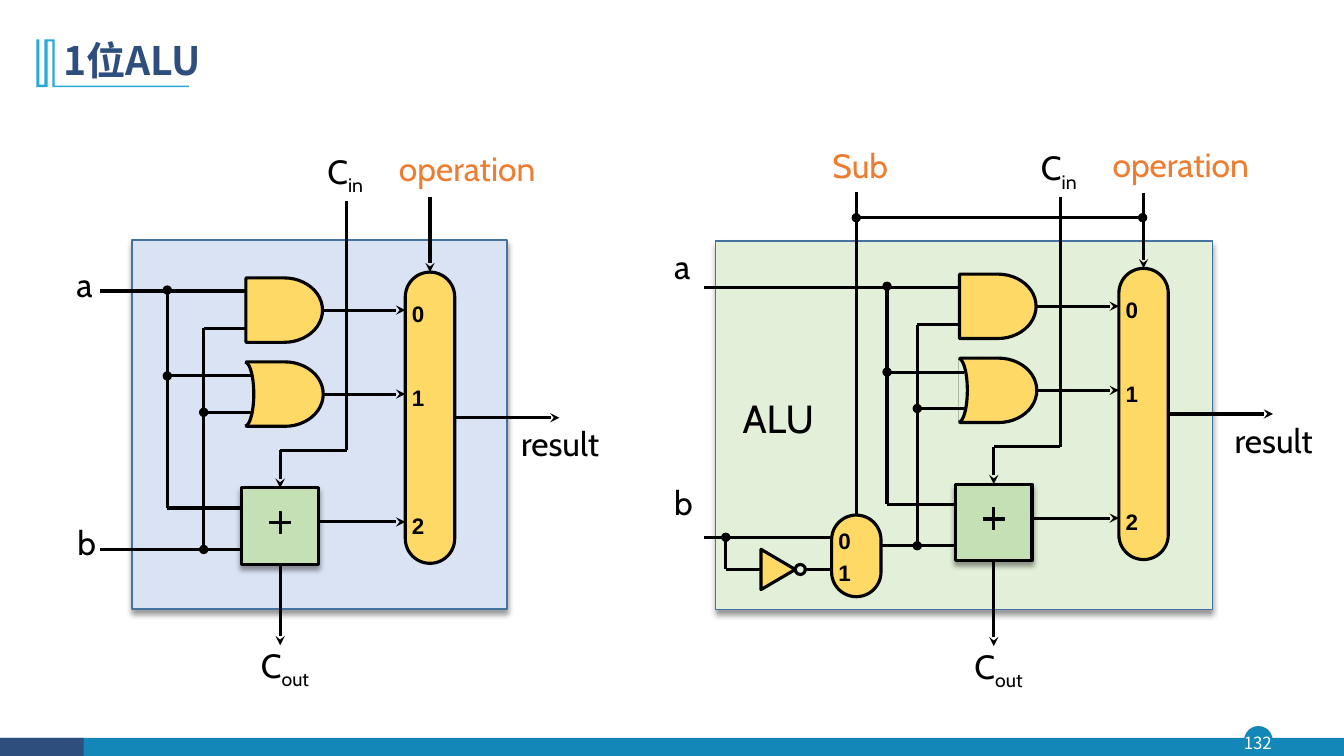
from math import cos, pi, sin

from lxml.etree import SubElement
from pptx import Presentation
from pptx.dml.color import RGBColor
from pptx.enum.shapes import MSO_CONNECTOR, MSO_SHAPE
from pptx.enum.text import MSO_ANCHOR, PP_ALIGN
from pptx.oxml.ns import qn
from pptx.util import Pt

BLACK, WHITE, ORANGE = "000000", "FFFFFF", "ED7D31"
TEAL, NAVY, SKY = "1387B7", "2E4E7E", "28A9D6"
GOLD, GREEN = "FFD966", "C5E0B4"
LATIN, CHINESE = "Cabin", "Noto Sans CJK SC"
TOP, BOTTOM, RIGHT = 0, 2, 3
MUX_WIDTH = 35.3


def colour(value):
    return RGBColor.from_string(value)


def format_run(span, size, name, ink, bold=False):
    span.font.size = Pt(size)
    span.font.name = name
    span.font.bold = bold
    span.font.color.rgb = colour(ink)
    if name == CHINESE:
        SubElement(span.font._element, qn("a:ea"), typeface=name)


def paint(shape, fill, line=None, weight=2.25):
    shape.shadow.inherit = False
    if fill:
        shape.fill.solid()
        shape.fill.fore_color.rgb = colour(fill)
    else:
        shape.fill.background()
    if line:
        shape.line.color.rgb = colour(line)
        shape.line.width = Pt(weight)
    else:
        shape.line.fill.background()
    return shape


def add_block(page, kind, left, top, width, height, fill, line=BLACK, weight=2.25):
    shape = page.shapes.add_shape(kind, Pt(left), Pt(top), Pt(width), Pt(height))
    return paint(shape, fill, line, weight)


def drop_shadow(shape):
    effects = shape._element.spPr.find(qn("a:effectLst"))
    shadow = SubElement(effects, qn("a:outerShdw"), blurRad=str(Pt(4)), dist=str(Pt(3)),
                        dir="5400000", algn="t", rotWithShape="0")
    black = SubElement(shadow, qn("a:srgbClr"), val=BLACK)
    SubElement(black, qn("a:alpha"), val="40000")


def add_outline(page, points, fill, line=None, close=True):
    (first, *rest) = [(Pt(x), Pt(y)) for x, y in points]
    builder = page.shapes.build_freeform(*first)
    builder.add_line_segments(rest, close=close)
    return paint(builder.convert_to_shape(), fill, line)


def add_wire(page, start, end, head=None, tail=None):
    wire = page.shapes.add_connector(MSO_CONNECTOR.STRAIGHT, *map(Pt, (*start, *end)))
    wire.line.color.rgb = colour(BLACK)
    wire.line.width = Pt(2.25)
    stroke = wire.line._get_or_add_ln()
    for tag, kind in (("a:headEnd", head), ("a:tailEnd", tail)):
        if kind:
            SubElement(stroke, qn(tag), type=kind)
    SubElement(wire._element.spPr, qn("a:effectLst"))
    return wire


def add_label(page, text, left, top, width, height=36, size=24, name=LATIN, ink=BLACK,
              subscript="", bold=False, inset=True, spacing=None, align=PP_ALIGN.LEFT):
    box = page.shapes.add_textbox(Pt(left), Pt(top), Pt(width), Pt(height))
    frame = box.text_frame
    frame.word_wrap = not inset
    if not inset:
        frame.margin_left = frame.margin_right = frame.margin_top = frame.margin_bottom = 0
    para = frame.paragraphs[0]
    para.text = text
    para.alignment = align
    para.line_spacing = spacing
    if subscript:
        para.add_run().text = subscript
    for span in para.runs:
        format_run(span, size, name, ink, bold)
    if subscript:
        para.runs[1].font._element.set("baseline", "-25000")
    return box


def add_mux(page, left, top, height, inputs):
    """Draw a selector whose inputs, at the given heights, count from 0."""
    mux = add_block(page, MSO_SHAPE.ROUNDED_RECTANGLE, left, top, MUX_WIDTH, height, GOLD)
    mux.adjustments[0] = 0.5
    for number, y in enumerate(inputs):
        add_label(page, str(number), left + 2, y - 11, 14.4, 21, size=16, name="Arial",
                  bold=True, inset=False, spacing=1.2, align=PP_ALIGN.CENTER)
    return mux


def add_panel(page, left, top, width, height, fill):
    panel = add_block(page, MSO_SHAPE.RECTANGLE, left, top, width, height, fill, "43739E", 1)
    drop_shadow(panel)


def add_core(page, left, top, floor, panel_fill, a_start, a_trunk, b_start):
    """Draw gates, adder and selector; left and top are the corner of the AND gate."""
    b_trunk, carry, mux_left = left - 30.2, left + 24.45, left + 113.8
    a_y, b_y, and_y, or_y = top + 9.4, top + 36, top + 23, top + 83
    sum_y, adder_b, bend = top + 174.3, top + 194, top + 123.2
    adder_left = left - 2.9

    add_wire(page, (a_start, a_y), (left, a_y))
    add_wire(page, (b_trunk, b_y), (left, b_y))
    and_gate = add_block(page, MSO_SHAPE.FLOWCHART_DELAY, left, top, 54.7, 46, GOLD)
    or_gate = add_block(page, MSO_SHAPE.FLOWCHART_DELAY, left + 0.5, top + 60, 54.7, 46, GOLD)
    arc = [(left - 0.7 + 6.3 * sin(pi * step / 24), or_y - 22.8 * cos(pi * step / 24))
           for step in range(25)]
    add_outline(page, arc, panel_fill, BLACK, close=False)
    adder = add_block(page, MSO_SHAPE.RECTANGLE, adder_left, top + 150, 54.7, 54.7, GREEN)
    drop_shadow(adder)
    plus = add_block(page, MSO_SHAPE.CROSS, carry - 7.5, top + 166.8, 15, 15.8, BLACK, BLACK, 0.75)
    plus.adjustments[0] = 0.46
    mux = add_mux(page, mux_left, top - 4.1, 208, (and_y, or_y, sum_y))

    for trunk, y, end in ((a_trunk, top + 70, left + 3.5), (b_trunk, top + 96, left + 5)):
        add_wire(page, (trunk, y), (end, y), head="oval")
    add_wire(page, (a_trunk, a_y - 0.7), (a_trunk, top + 164.4), head="oval")
    add_wire(page, (b_trunk, adder_b), (b_trunk, b_y), head="oval")
    add_wire(page, (a_trunk, top + 164.4), (adder_left, top + 164.4))
    add_wire(page, (b_start, adder_b), (adder_left, adder_b))

    for gate, y in ((and_gate, and_y), (or_gate, or_y)):
        add_wire(page, (left + 55, y), (mux_left, y), tail="stealth").begin_connect(gate, RIGHT)
    add_wire(page, (adder_left + 54.7, sum_y), (mux_left, sum_y), tail="stealth")
    result = add_wire(page, (mux_left + MUX_WIDTH, top + 99.9), (left + 223.9, top + 99.9),
                      tail="stealth")
    result.begin_connect(mux, RIGHT)
    mux_middle = mux_left + MUX_WIDTH / 2
    select = add_wire(page, (mux_middle, top - 58), (mux_middle, top - 4), tail="stealth")
    select.end_connect(mux, TOP)

    add_wire(page, (left + 72, bend), (left + 72, top - 55.2))
    add_wire(page, (carry, bend), (left + 72, bend))
    carry_in = add_wire(page, (carry, bend), (carry, top + 150), tail="stealth")
    carry_in.end_connect(adder, TOP)
    carry_out = add_wire(page, (carry, top + 205), (carry, floor + 26), tail="stealth")
    carry_out.begin_connect(adder, BOTTOM)

    add_label(page, "C", left + 51.1, top - 94.2, 43.2, subscript="in")
    add_label(page, "C", left + 3.6, floor + 22, 54.7, subscript="out")
    add_label(page, "operation", left + 102.2, top - 96.3, 121.7, ink=ORANGE)
    add_label(page, "result", left + 196.5, top + 98.1, 104.4, 31.7, inset=False, spacing=1.2)


def add_simple_unit(page, left, top, width, height):
    fill = "DAE3F3"
    add_panel(page, left, top, width, height, fill)
    add_core(page, left + 81.4, top + 27.1, top + height, fill,
             a_start=left - 23, a_trunk=left + 25.2, b_start=left - 23)
    add_label(page, "a", left - 46.8, top + 13.7, 27.4)
    add_label(page, "b", left - 46.1, top + 198, 29.5)


def add_subtracting_unit(page, left, top, width, height):
    fill = "E2F0D9"
    add_panel(page, left, top, width, height, fill)
    mux_left, plain_b, inverted_b = left + 82.8, top + 211.7, top + 234.7
    sub_x, branch = mux_left + MUX_WIDTH / 2, left + 7.2
    add_core(page, left + 174.2, top + 23.7, top + height, fill, a_start=left - 8.6,
             a_trunk=left + 122.4, b_start=mux_left + MUX_WIDTH)
    mux = add_mux(page, mux_left, top + 195.8, 58.3, (plain_b, inverted_b))
    add_wire(page, (sub_x, top - 35.3), (sub_x, top + 195.8)).end_connect(mux, TOP)
    add_wire(page, (sub_x, top - 16.6), (left + 305, top - 16.6), head="oval", tail="oval")
    add_wire(page, (left - 8.6, plain_b), (mux_left, plain_b))
    add_wire(page, (branch, plain_b), (branch, inverted_b), head="oval")
    add_wire(page, (branch, inverted_b), (left + 33, inverted_b))
    add_wire(page, (left + 64.1, inverted_b), (mux_left, inverted_b))
    add_block(page, MSO_SHAPE.OVAL, left + 56.9, inverted_b - 3.6, 7.2, 7.2, None)
    inverter = add_block(page, MSO_SHAPE.ISOSCELES_TRIANGLE, left + 30.2, inverted_b - 12.25,
                         28.8, 24.5, GOLD)
    inverter.rotation = 90
    add_label(page, "a", left - 36.7, top, 27.4)
    add_label(page, "b", left - 36.7, top + 168.5, 29.5)
    add_label(page, "Sub", left + 76.3, top - 72, 56.9, ink=ORANGE)
    add_label(page, "ALU", left + 12.2, top + 105.8, 72, 41, size=28)


def add_heading(page, left, top, width, height):
    bracket = [(0, 0), (2.2, 0), (2.2, 32.4), (5.8, 32.4), (5.8, 0), (13, 0), (13, 33.1),
               (109, 33.1), (109, 34.2), (11.5, 34.2), (11.5, 1.4), (8, 1.4), (8, 34.2), (0, 34.2)]
    add_outline(page, [(left - 12.2 + x, top + 7.9 + y) for x, y in bracket], SKY)
    title = page.shapes.title
    title.left, title.top, title.width, title.height = map(Pt, (left, top, width, height))
    title.text_frame.text = "1位ALU"
    title.text_frame.vertical_anchor = MSO_ANCHOR.MIDDLE
    para = title.text_frame.paragraphs[0]
    para.alignment = PP_ALIGN.LEFT
    para.line_spacing = 0.9
    format_run(para.runs[0], 28, CHINESE, NAVY, bold=True)


def add_footer(page, left, top, width, height):
    add_block(page, MSO_SHAPE.OVAL, left + 889.2, top - 7.9, 19.4, 19.4, TEAL, TEAL, 1)
    add_block(page, MSO_SHAPE.RECTANGLE, left, top, width, height, TEAL, None)
    add_block(page, MSO_SHAPE.RECTANGLE, left, top, 59.8, height, NAVY, None)
    number = add_label(page, "132", left + 887, top - 7.9, 23, 22.3, size=12, name=CHINESE,
                       ink=WHITE, inset=False, align=PP_ALIGN.CENTER)
    number.text_frame.vertical_anchor = MSO_ANCHOR.MIDDLE


def main():
    deck = Presentation()
    deck.slide_width, deck.slide_height = Pt(960), Pt(540)
    page = deck.slides.add_slide(deck.slide_layouts[5])
    add_footer(page, 0, 527, 960, 13)
    add_heading(page, 38.2, 20.2, 828, 49)
    add_simple_unit(page, 94.3, 171.4, 267.8, 263.5)
    add_subtracting_unit(page, 511.2, 172.1, 355, 263.5)
    deck.save("out.pptx")


if __name__ == "__main__":
    main()
